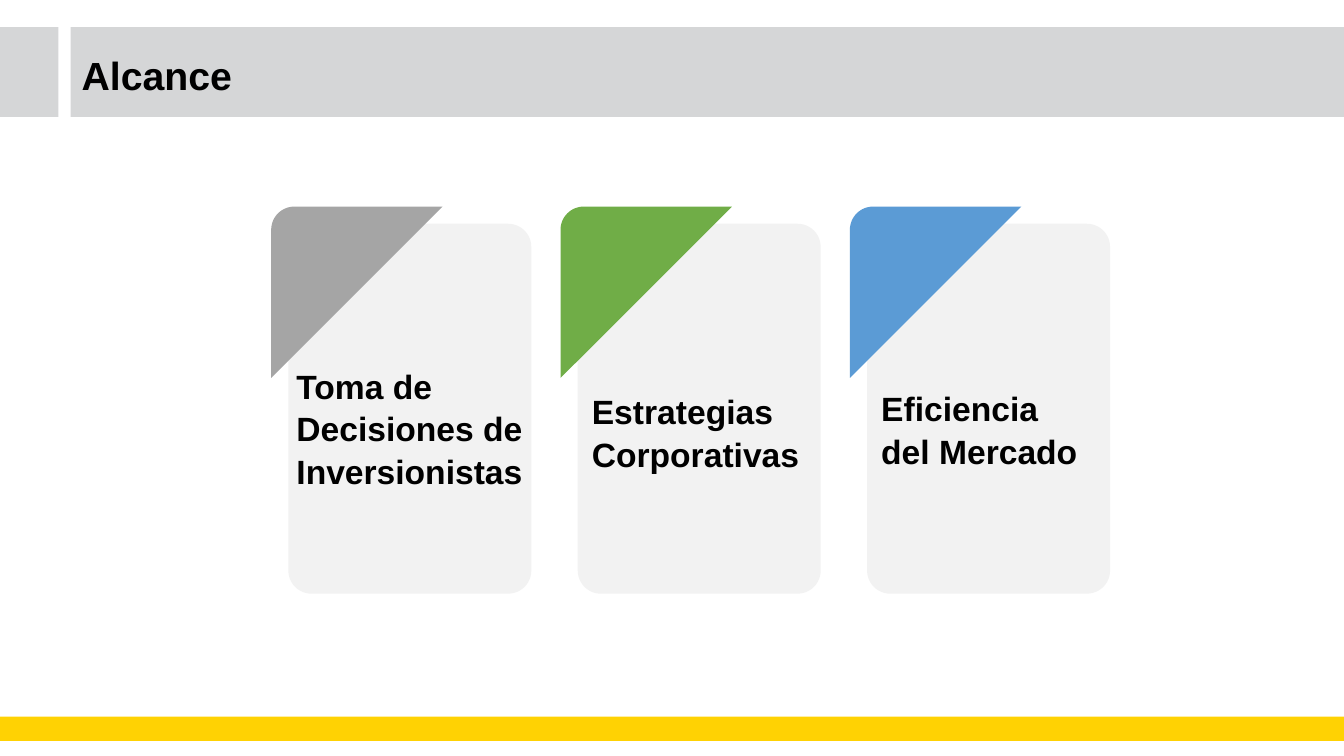
from math import cos, pi, sin

from pptx import Presentation
from pptx.dml.color import RGBColor
from pptx.enum.shapes import MSO_SHAPE
from pptx.enum.text import MSO_ANCHOR, MSO_AUTO_SIZE, PP_ALIGN
from pptx.util import Inches, Pt

RECT, ROUND = MSO_SHAPE.RECTANGLE, MSO_SHAPE.ROUNDED_RECTANGLE
TOP, BOTTOM = MSO_ANCHOR.TOP, MSO_ANCHOR.BOTTOM
LEFT = PP_ALIGN.LEFT
FIT = MSO_AUTO_SIZE.SHAPE_TO_FIT_TEXT

COLORS = {
    "white": "FFFFFF", "black": "000000", "band": "D5D6D7", "footer": "FFD203",
    "card": "F2F2F2", "gray": "A5A5A5", "green": "70AD47", "blue": "5B9BD5",
}
WIDTH, HEIGHT = 13.33, 7.5
CARD_LEFT, CARD_TOP, CARD_W, CARD_H, CARD_STEP = 2.86, 2.22, 2.41, 3.67, 2.87
CORNER_SHIFT, CORNER_SIZE, RADIUS = 0.17, 1.7, 0.23
ARC_STEPS = 16
CARDS = [
    ("Toma de Decisiones de Inversionistas", "gray", 0.08, 3.61, 2.25, 1.31),
    ("Estrategias Corporativas", "green", 0.14, 3.84, 2.12, 0.91),
    ("Eficiencia del Mercado", "blue", 0.14, 3.81, 2.12, 0.91),
]


class SlideBuilder:
    """Draws styled elements on the current slide."""

    def __init__(self, slide, font="Arial"):
        self.s = slide
        self.font = font

    def paint(self, sp, color):
        sp.shadow.inherit = False
        sp.fill.solid()
        sp.fill.fore_color.rgb = RGBColor.from_string(COLORS[color])
        sp.line.fill.background()

    def shape(self, kind, x, y, w, h, color):
        sp = self.s.shapes.add_shape(kind, Inches(x), Inches(y), Inches(w), Inches(h))
        if kind == ROUND:
            sp.adjustments[0] = RADIUS / min(w, h)
        self.paint(sp, color)

    def corner(self, x, y, size, color):
        arc = [pi / 2 * i / ARC_STEPS for i in range(ARC_STEPS + 1)]
        points = [(x + RADIUS * (1 - sin(a)), y + RADIUS * (1 - cos(a))) for a in arc]
        points += [(x, y + size), (x + size, y)]
        points = [(Inches(px), Inches(py)) for px, py in points]
        fb = self.s.shapes.build_freeform(*points[0])
        fb.add_line_segments(points[1:], close=True)
        self.paint(fb.convert_to_shape(), color)

    def set_text(self, tf, text, size, frame, paragraph):
        for name, value in frame.items():
            setattr(tf, name, value)
        p = tf.paragraphs[0]
        for name, value in paragraph.items():
            setattr(p, name, value)
        r = p.add_run()
        r.text = text
        for name, value in {"name": self.font, "size": Pt(size), "bold": True}.items():
            setattr(r.font, name, value)
        r.font.color.rgb = RGBColor.from_string(COLORS["black"])

    def title(self, text, x, y, w, h):
        sp = self.s.shapes.title
        box = {"left": x, "top": y, "width": w, "height": h}
        for name, value in box.items():
            setattr(sp, name, Inches(value))
        self.s.shapes.element.append(sp.element)
        self.set_text(sp.text_frame, text, 28,
                      {"word_wrap": True, "auto_size": FIT, "vertical_anchor": TOP},
                      {"alignment": LEFT})

    def label(self, text, x, y, w, h):
        sp = self.s.shapes.add_textbox(Inches(x), Inches(y), Inches(w), Inches(h))
        self.set_text(sp.text_frame, text, 24,
                      {"word_wrap": True, "auto_size": FIT, "vertical_anchor": BOTTOM,
                       "margin_left": 0, "margin_right": 0},
                      {"alignment": LEFT, "line_spacing": 1.05, "space_after": Pt(6)})


def main():
    prs = Presentation()
    prs.slide_width, prs.slide_height = Inches(WIDTH), Inches(HEIGHT)
    b = SlideBuilder(prs.slides.add_slide(prs.slide_layouts[5]))

    b.shape(RECT, 0, 0.27, WIDTH, 0.89, "band")
    b.shape(RECT, 0.58, 0.14, 0.12, 1.45, "white")
    b.title("Alcance", 0.71, 0.46, 6.67, 0.57)
    b.shape(RECT, 0, 7.11, WIDTH, 0.24, "footer")

    for i, (text, color, indent, y, w, h) in enumerate(CARDS):
        x = CARD_LEFT + i * CARD_STEP
        b.shape(ROUND, x, CARD_TOP, CARD_W, CARD_H, "card")
        b.corner(x - CORNER_SHIFT, CARD_TOP - CORNER_SHIFT, CORNER_SIZE, color)
        b.label(text, x + indent, y, w, h)

    prs.save("out.pptx")


if __name__ == "__main__":
    main()
